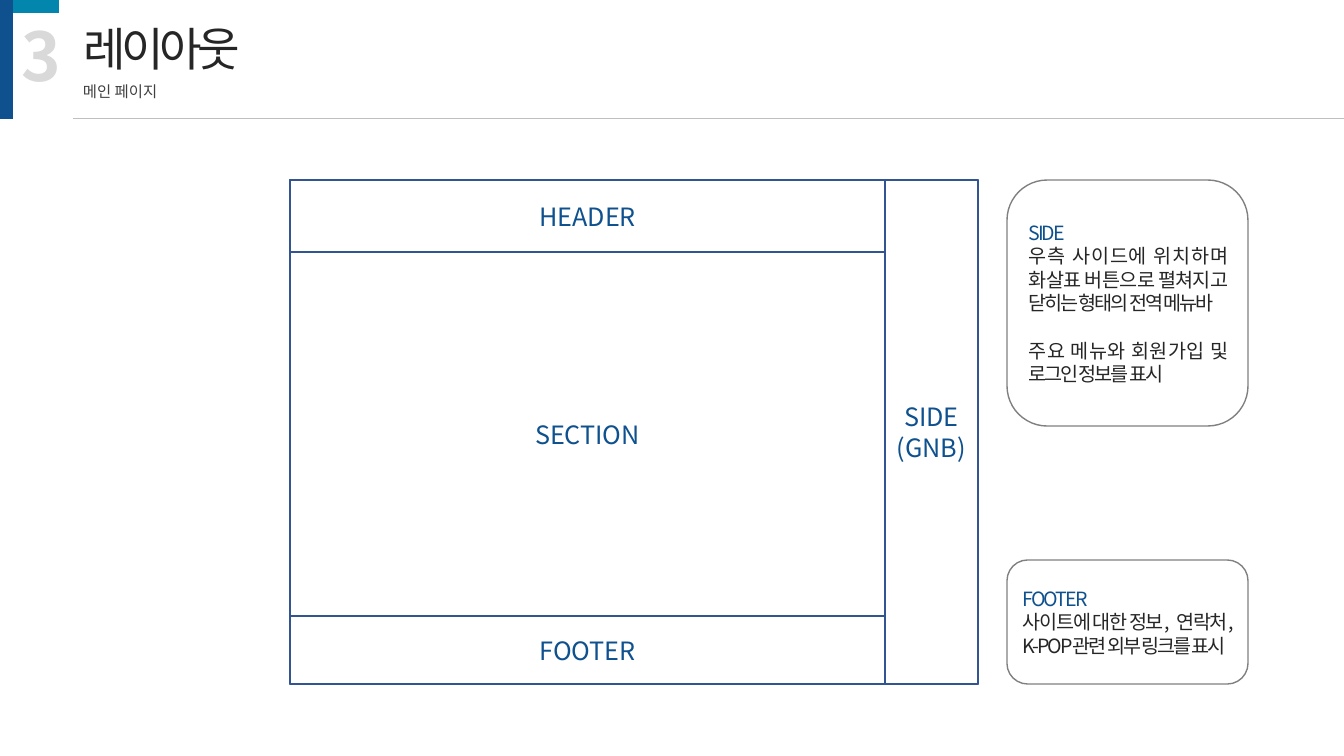
from lxml import etree
from pptx import Presentation
from pptx.dml.color import RGBColor
from pptx.enum.shapes import MSO_CONNECTOR, MSO_SHAPE
from pptx.enum.text import MSO_ANCHOR as ANCHOR, MSO_AUTO_SIZE, PP_ALIGN as ALIGN
from pptx.oxml.ns import qn
from pptx.util import Pt

PX = 914400 / 100.8
FONT = "Noto Sans CJK KR"
NAVY, TEAL, BORDER = "0F518E", "0286AD", "325491"
INK, WHITE = "262626", "FFFFFF"


def box(kind, bounds, fill, line=None):
    shape = slide.shapes.add_shape(kind, *[round(v * PX) for v in bounds])
    shape.shadow.inherit = False
    shape.fill.solid()
    shape.fill.fore_color.rgb = RGBColor.from_string(fill)
    if line:
        shape.line.color.rgb = RGBColor.from_string(line)
        shape.line.width = Pt(1)
    else:
        shape.line.fill.background()
    return shape


def write(shape, text, size, color=INK, bold=False, spacing=0, align=ALIGN.LEFT,
          anchor=ANCHOR.TOP, wrap=True, more=False, before=0):
    frame = shape.text_frame
    frame.word_wrap = wrap
    frame.auto_size = MSO_AUTO_SIZE.NONE
    frame.vertical_anchor = anchor
    paragraph = frame.add_paragraph() if more else frame.paragraphs[0]
    paragraph.text = text
    paragraph.alignment = align
    paragraph.space_before = Pt(before)
    for run in paragraph.runs:
        run.font.size = Pt(size)
        run.font.bold = bold
        run.font.name = FONT
        run.font.color.rgb = RGBColor.from_string(color)
        properties = run.font._element
        properties.set("spc", str(round(spacing * 100)))
        etree.SubElement(properties, qn("a:ea")).set("typeface", FONT)


presentation = Presentation()
presentation.slide_width = round(1344 * PX)
presentation.slide_height = round(756 * PX)
slide = presentation.slides.add_slide(presentation.slide_layouts[5])

# Corner bars
box(MSO_SHAPE.RECTANGLE, (0, 0, 13, 119), NAVY)
box(MSO_SHAPE.RECTANGLE, (13, 0, 46, 13), TEAL)

# Heading
title = slide.shapes.title
title.left, title.top, title.width, title.height = [round(v * PX) for v in (73, 15, 423, 68)]
write(title, "레이아웃", 33, spacing=-3)
for text, bounds, style in [
    ("메인 페이지", (73, 77, 104, 29), dict(size=11, color="404040")),
    ("3", (12, 9, 59, 92), dict(size=48, color="D9D9D9", bold=True)),
]:
    label = slide.shapes.add_textbox(*[round(v * PX) for v in bounds])
    write(label, text, wrap=False, **style)

# Rule under the heading
rule = slide.shapes.add_connector(
    MSO_CONNECTOR.STRAIGHT, *[round(v * PX) for v in (73, 118, 1344, 118)])
rule.line.color.rgb = RGBColor.from_string("BFBFBF")
rule.line.width = Pt(0.5)
etree.SubElement(rule._element.spPr, qn("a:effectLst"))

# Page wireframe
left, top, bottom, main_width, side_width = 290, 180, 684, 595, 93
box(MSO_SHAPE.RECTANGLE, (left, top, main_width + side_width, bottom - top), WHITE, BORDER)
side = box(MSO_SHAPE.RECTANGLE, (left + main_width, top, side_width, bottom - top), WHITE, BORDER)
write(side, "SIDE\v(GNB)", 18, NAVY, align=ALIGN.CENTER, anchor=ANCHOR.MIDDLE)
row_top = top
for name, height in [("HEADER", 72), ("SECTION", 364), ("FOOTER", 68)]:
    row = box(MSO_SHAPE.RECTANGLE, (left, row_top, main_width, height), WHITE, BORDER)
    write(row, name, 18, NAVY, align=ALIGN.CENTER, anchor=ANCHOR.MIDDLE)
    row_top += height

# Description cards: heading, then paragraphs with the space before each
for name, card_top, height, paragraphs in [
    ("SIDE", 180, 246, [
        ("우측 사이드에 위치하며 화살표 버튼으로 펼쳐지고 닫히는 형태의 전역 메뉴바", 0),
        ("주요 메뉴와 회원가입 및 로그인 정보를 표시", 17)]),
    ("FOOTER", 560, 124, [
        ("사이트에 대한 정보,  연락처, K-POP관련 외부 링크를 표시", 0)]),
]:
    card = box(MSO_SHAPE.ROUNDED_RECTANGLE, (1007, card_top, 241, height), WHITE, "808080")
    style = dict(size=14, spacing=-1.5, align=ALIGN.JUSTIFY, anchor=ANCHOR.MIDDLE)
    write(card, name, color=NAVY, **style)
    for text, before in paragraphs:
        write(card, text, more=True, before=before, **style)

presentation.save("out.pptx")
